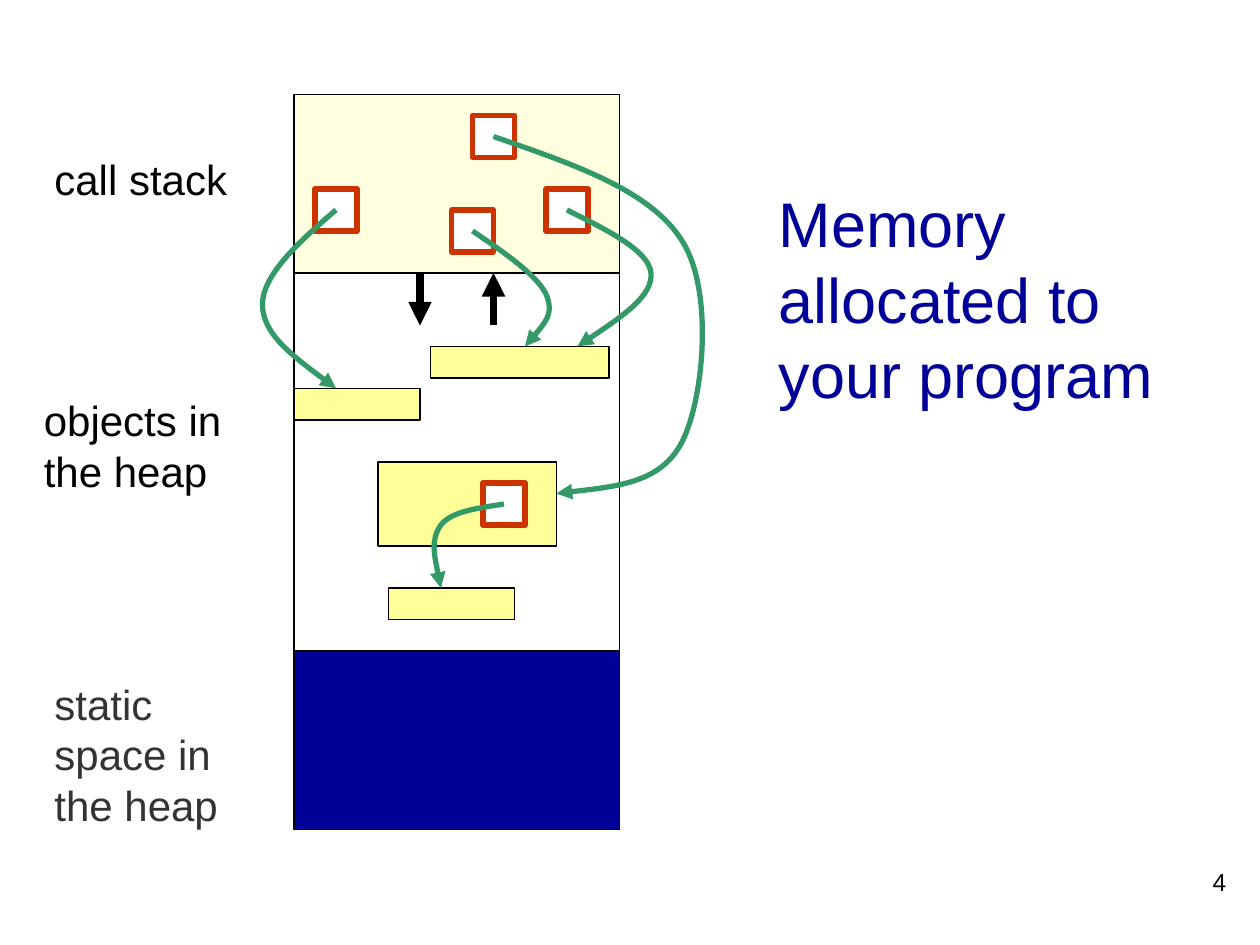
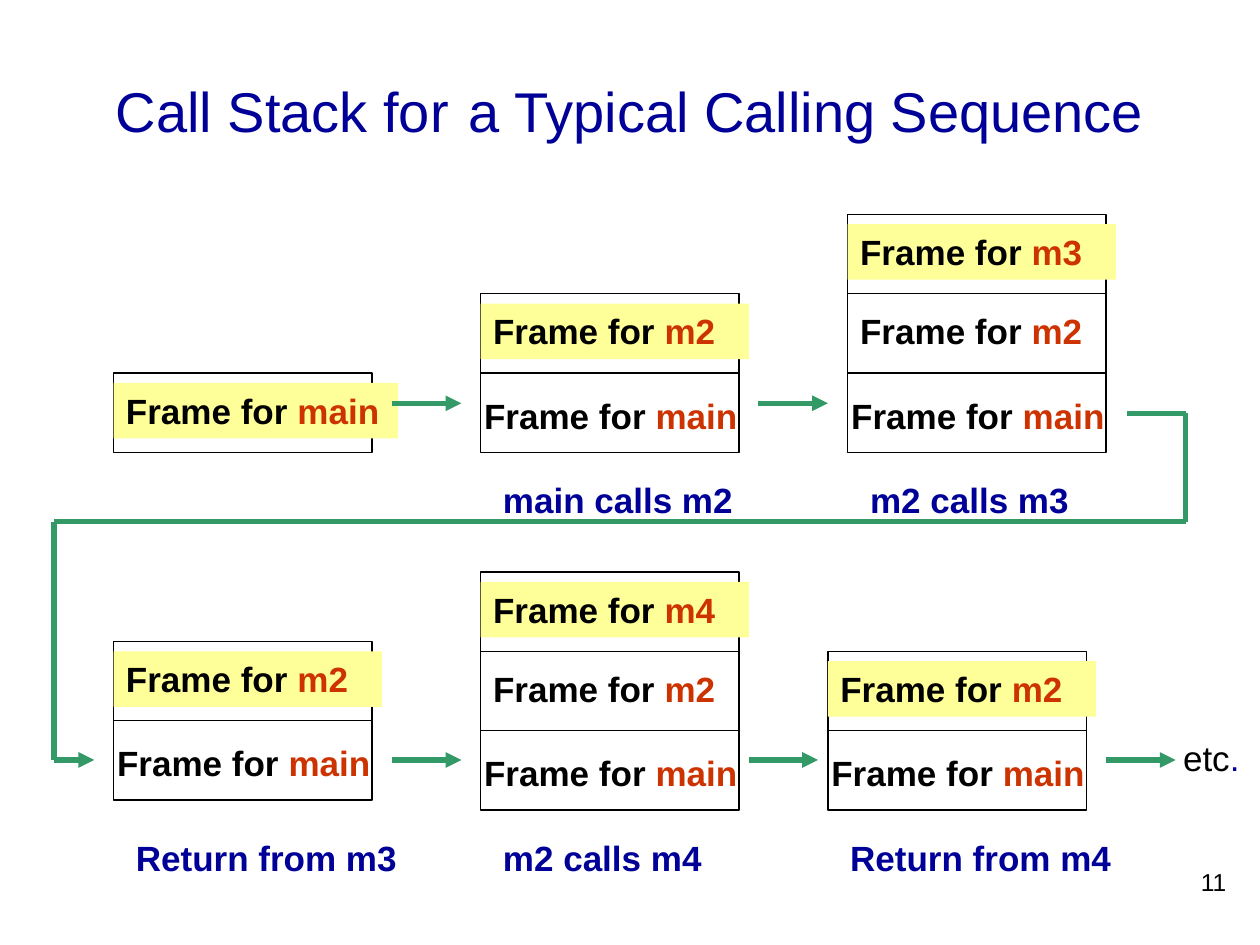
from dataclasses import dataclass
from itertools import pairwise

from lxml.etree import SubElement
from pptx import Presentation
from pptx.dml.color import RGBColor
from pptx.enum.shapes import MSO_CONNECTOR as Link, MSO_SHAPE as Preset
from pptx.enum.text import MSO_ANCHOR as Anchor, PP_ALIGN as Align
from pptx.oxml.ns import qn
from pptx.util import Cm, Pt


@dataclass(frozen=True)
class Theme:
    font: str = "Arial"
    black: str = "000000"
    gray: str = "333333"
    white: str = "FFFFFF"
    navy: str = "000099"
    red: str = "CC3300"
    green: str = "339966"
    cream: str = "FFFFDF"
    yellow: str = "FFFF99"
    head: int = 36
    title: int = 32
    gap: int = 40
    label: int = 24
    frame: int = 20
    page: int = 14
    thin: float = 0.75
    bold: float = 3
    heavy: float = 4.5


@dataclass(frozen=True)
class Box:
    """A rectangle in centimetres."""
    x: float
    y: float
    w: float
    h: float

    def sub(self, x, y, w, h):
        return Box(self.x + x, self.y + y, w, h)

    def place(self):
        return Cm(self.x), Cm(self.y), Cm(self.w), Cm(self.h)


T = Theme()
PAGE = Box(0, 0, 25.4, 19.05)
STEP = PAGE.w / 120  # grid unit of the memory map
CELL = Box(0, 0, 5.21, 1.6)  # one stack frame


def color(code):
    return RGBColor.from_string(code)


def text(slide, box, runs, size, bold=False, fill=None, align=Align.LEFT,
         anchor=Anchor.TOP):
    """Add a text box; each run is (text, colour) or (text, colour, size)."""
    shape = slide.shapes.add_textbox(*box.place())
    if fill:
        shape.fill.solid()
        shape.fill.fore_color.rgb = color(fill)
    frame = shape.text_frame
    frame.word_wrap = True
    frame.vertical_anchor = anchor
    para = frame.paragraphs[0]
    para.alignment = align
    for words, tint, *own in runs:
        run = para.add_run()
        run.text = words
        font = run.font
        font.name, font.bold = T.font, bold
        font.size = Pt(own[0] if own else size)
        font.color.rgb = color(tint)


def stroke(shape, tint, width, arrow=False):
    shape.line.color.rgb = color(tint)
    shape.line.width = Pt(width)
    if arrow:
        line = shape.element.spPr.find(qn("a:ln"))
        SubElement(line, qn("a:tailEnd"), type="triangle")


def rect(slide, box, fill=None, tint=T.black, width=T.thin):
    shape = slide.shapes.add_shape(Preset.RECTANGLE, *box.place())
    shape.shadow.inherit = False
    if fill:
        shape.fill.solid()
        shape.fill.fore_color.rgb = color(fill)
    else:
        shape.fill.background()
    stroke(shape, tint, width)


def line(slide, start, end, tint=T.green, width=T.bold, arrow=True):
    ends = [Cm(v) for v in (*start, *end)]
    shape = slide.shapes.add_connector(Link.STRAIGHT, *ends)
    stroke(shape, tint, width, arrow)
    SubElement(shape.element.spPr, qn("a:effectLst"))


def curve(slide, points):
    """Draw an arrow through cubic curves: a start, then triples of points."""
    start, *rest = [(Cm(x), Cm(y)) for x, y in points]
    pen = slide.shapes.build_freeform(*start)
    pen.add_line_segments(rest, close=False)
    shape = pen.convert_to_shape()
    shape.shadow.inherit = False
    shape.fill.background()
    stroke(shape, T.green, T.bold, arrow=True)
    track = next(shape.element.spPr.iter(qn("a:path")))
    legs = track.findall(qn("a:lnTo"))
    for i in range(0, len(legs), 3):
        bend = SubElement(track, qn("a:cubicBezTo"))
        for leg in legs[i:i + 3]:
            bend.append(leg[0])
            track.remove(leg)


def number(slide, value):
    text(slide, PAGE.sub(19.69, 17.35, 5.28, 1.27), [(str(value), T.black)],
         T.page, align=Align.RIGHT)


def grid(box, *cell):
    return box.sub(*(v * STEP for v in cell))


AREAS = [(0, 17, T.cream), (17, 36, T.white), (53, 17, T.navy)]
OBJECTS = [(0, 28, 12, 3), (13, 24, 17, 3), (8, 35, 17, 8), (9, 47, 12, 3)]
POINTERS = [
    [(4, 11), (0.5, 14), (-3, 17.2), (-3, 20),
     (-3, 22.8), (0.5, 25.4), (4, 28)],
    [(17, 13), (20.1, 15.1), (23.1, 17.2), (24, 19),
     (24.8, 20.9), (23.4, 22.4), (22, 24)],
    [(26, 11), (30, 13), (33.8, 14.9), (34, 17),
     (34.2, 19.2), (30.6, 21.6), (27, 24)],
    [(19, 4), (26.5, 6.6), (34, 9.1), (37, 14), (40, 18.8), (39, 29),
     (37, 33), (35, 37), (30, 37.4), (25, 38)],
    [(20, 39), (17.5, 39.4), (15, 39.7), (14, 41),
     (13, 42.4), (13.5, 44.6), (14, 47)],
]


def memory(slide, box):
    """Draw the stack, heap and static areas with objects and pointers."""
    def spot(x, y):
        return box.x + x * STEP, box.y + y * STEP

    for top, tall, fill in AREAS:
        rect(slide, grid(box, 0, top, 31, tall), fill)
    for x, start, end in [(12, 17, 22), (19, 22, 17)]:
        line(slide, spot(x, start), spot(x, end), T.black, T.heavy)
    for cell in OBJECTS:
        rect(slide, grid(box, *cell), T.yellow)
    for (x, y), *_ in POINTERS:
        rect(slide, grid(box, x - 2, y - 2, 4, 4), T.white, T.red, T.bold)
    for points in POINTERS:
        curve(slide, [spot(*point) for point in points])


def layout(slide):
    memory(slide, grid(PAGE, 28, 9, 31, 70))
    for cell, words, tint, size in [
        ((4, 14, 23, 6), "call stack", T.black, T.label),
        ((3, 37, 24, 11), "objects in the heap", T.black, T.label),
        ((4, 64, 22, 16), "static space in the heap", T.gray, T.label),
        ((73, 17, 42, 23), "Memory allocated to your program", T.navy, T.head),
    ]:
        text(slide, grid(PAGE, *cell), [(words, tint)], size)
    number(slide, 4)


def stack(slide, box, names):
    """Pile frames up from the foot of the box, with the top one lit."""
    for i, name in enumerate(names):
        cell = box.sub(0, box.h - (i + 1) * CELL.h, CELL.w, CELL.h)
        rect(slide, cell)
        lit = i == len(names) - 1
        if name == "main":
            spot = (0, 0.2, 5.74, 1.12) if lit else (-0.18, 0.3, 5.92, 1.12)
        else:
            spot = (0, 0.2, 5.41, 1.12)
        text(slide, cell.sub(*spot),
             [("Frame for ", T.black), (name, T.red)], T.frame, True,
             T.yellow if lit else None)


def row(slide, box, states, low):
    """Draw stacks given as (left, foot, names, caption); low is caption top."""
    for left, foot, names, note in states:
        tall = len(names) * CELL.h
        stack(slide, box.sub(left, foot - tall, CELL.w, tall), names)
        if note:
            text(slide, box.sub(left + 0.2, low, 6.15, 1.12),
                 [(note, T.navy)], T.frame, True)


def arrows(slide, y, lefts):
    for x in lefts:
        line(slide, (x, y), (x + 1.4, y))


def calls(slide):
    left, pitch = 2.29, 7.4
    upper = PAGE.sub(left, 4.32, 20, 6.33)
    lower = PAGE.sub(left, 11.53, 20, 6.33)
    row(slide, upper, [
        (0, 4.8, ["main"], None),
        (pitch, 4.8, ["main", "m2"], "main calls m2"),
        (2 * pitch, 4.8, ["main", "m2", "m3"], "m2 calls m3"),
    ], 5.2)
    row(slide, lower, [
        (0, 4.6, ["main", "m2"], "Return from m3"),
        (pitch, 4.8, ["main", "m2", "m4"], "m2 calls m4"),
        (14.4, 4.8, ["main", "m2"], "Return from m4"),
    ], 5.2)
    arrows(slide, 8.13, [7.9, 15.29])
    arrows(slide, 15.32, [7.9, 15.09, 22.3])
    turns = [(22.71, 8.33), (23.9, 8.33), (23.9, 10.52), (1.09, 10.52),
             (1.09, 15.32), (1.9, 15.32)]
    for start, end in pairwise(turns):
        line(slide, start, end, arrow=end == turns[-1])
    text(slide, PAGE.sub(23.6, 14.73, 1.8, 1.12),
         [("etc", T.black), (".", T.navy)], T.frame)
    text(slide, PAGE.sub(1.9, 0.84, 21.6, 2.54),
         [("Call Stack for", T.navy), (" ", T.navy, T.gap),
          ("a Typical Calling Sequence", T.navy)],
         T.title, align=Align.CENTER, anchor=Anchor.MIDDLE)
    number(slide, 11)


def main():
    deck = Presentation()
    deck.slide_width, deck.slide_height = Cm(PAGE.w), Cm(PAGE.h)
    for draw in (layout, calls):
        draw(deck.slides.add_slide(deck.slide_layouts[6]))
    deck.save("out.pptx")


if __name__ == "__main__":
    main()
